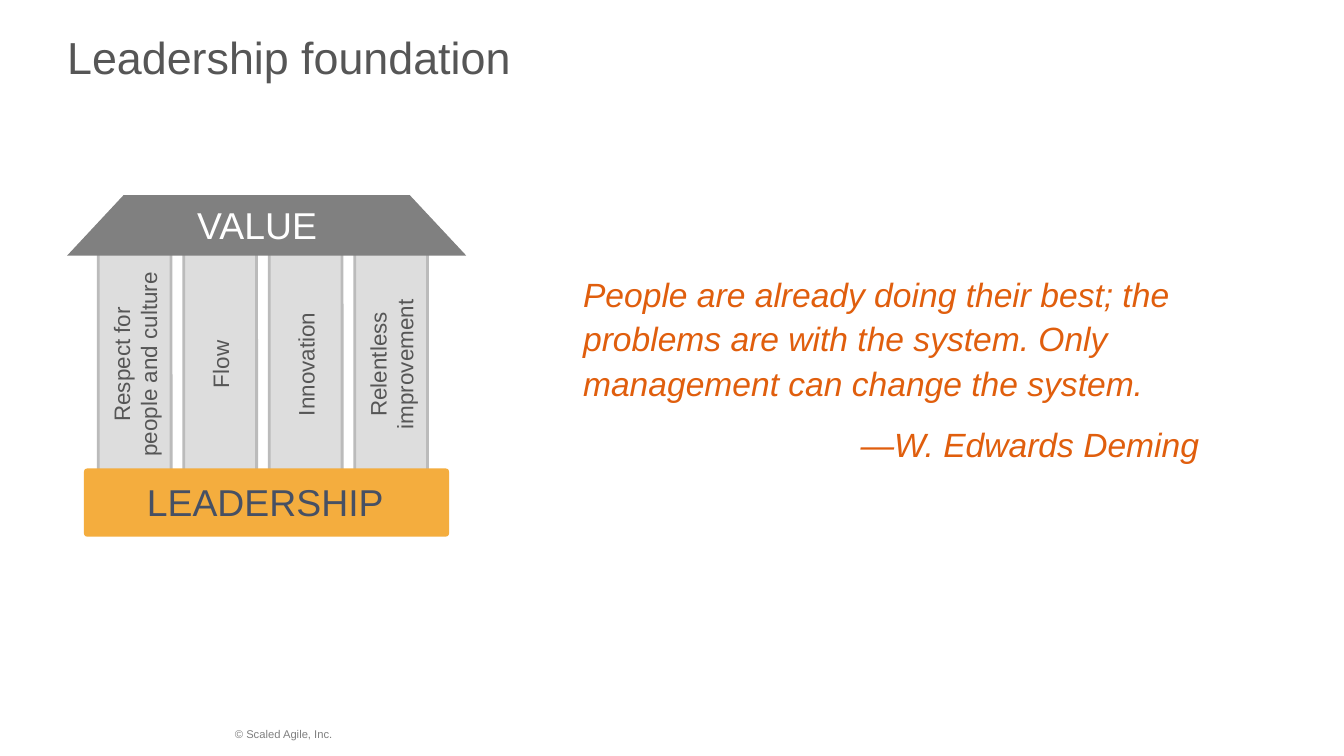
from dataclasses import dataclass

import pptx
import pptx.dml.color
import pptx.enum.shapes
import pptx.enum.text
import pptx.util

Pt = pptx.util.Pt
Align = pptx.enum.text.PP_ALIGN
Kind = pptx.enum.shapes.MSO_SHAPE


@dataclass
class Box:
    left: float
    top: float
    width: float
    height: float


@dataclass
class Style:
    size: float
    color: str
    align: Align = Align.LEFT
    italic: bool = False


@dataclass
class Pillar:
    lines: list[str]
    length: float


def tint(color: str) -> pptx.dml.color.RGBColor:
    return pptx.dml.color.RGBColor.from_string(color)


def add_block(slide, kind: Kind, box: Box, fill: str, adjust: float, edge: str = ""):
    shape = slide.shapes.add_shape(
        kind, Pt(box.left), Pt(box.top), Pt(box.width), Pt(box.height))
    shape.shadow.inherit = False
    shape.adjustments[0] = adjust
    shape.fill.solid()
    shape.fill.fore_color.rgb = tint(fill)
    if edge:
        shape.line.color.rgb = tint(edge)
        shape.line.width = Pt(1.5)
    else:
        shape.line.fill.background()


def add_text(slide, box: Box, lines: list[str], style: Style,
             wrap: bool = True, turn: float = 0):
    shape = slide.shapes.add_textbox(
        Pt(box.left), Pt(box.top), Pt(box.width), Pt(box.height))
    shape.rotation = turn
    frame = shape.text_frame
    frame.word_wrap = wrap
    frame.text = "\n".join(lines)
    for para in frame.paragraphs:
        para.alignment = style.align
        para.font.name = "Arial"
        para.font.size = Pt(style.size)
        para.font.italic = style.italic
        para.font.color.rgb = tint(style.color)
    return frame


deck = pptx.Presentation()
deck.slide_width, deck.slide_height = Pt(720), Pt(405)
slide = deck.slides.add_slide(deck.slide_layouts[6])

# Footer and title
add_text(slide, Box(118.8, 385.9, 149, 14.4), ["© Scaled Agile, Inc."],
         Style(6, "808080"))
title = add_text(slide, Box(36, 13.7, 656, 23.8), ["Leadership foundation"],
                 Style(24, "565656"))
title.margin_left = title.margin_right = title.margin_bottom = 0
title.margin_top = Pt(2)

# Quote
quote = add_text(
    slide, Box(305.3, 141.1, 344.2, 112.3),
    ["People are already doing their best; the problems are with the system. "
     "Only management can change the system.",
     "—W. Edwards Deming"],
    Style(18, "E05E0D", italic=True))
for para in quote.paragraphs:
    para.line_spacing = 1.1
quote.paragraphs[0].space_after = Pt(9)
quote.paragraphs[1].alignment = Align.RIGHT

# Pillars with upright labels
PILLARS = [
    Pillar(["Respect for", "people and culture"], 113.8),
    Pillar(["Flow"], 40.3),
    Pillar(["Innovation"], 70.6),
    Pillar(["Relentless", "improvement"], 84.2),
]
LEFT, TOP, WIDE, TALL, STEP = 52.7, 132.5, 39, 123, 45.8
MID = 195.2
for i, pillar in enumerate(PILLARS):
    left = LEFT + i * STEP
    add_block(slide, Kind.ROUNDED_RECTANGLE, Box(left, TOP, WIDE, TALL),
              "DDDDDD", 0.046, "BBBBBB")
    deep = 7.2 + 14.4 * len(pillar.lines)
    box = Box(left + (WIDE - pillar.length) / 2, MID - deep / 2, pillar.length, deep)
    add_text(slide, box, pillar.lines, Style(12, "565656", Align.CENTER),
             wrap=False, turn=270)

# Roof
add_block(slide, Kind.TRAPEZOID, Box(36, 104.5, 213.8, 32.4), "808080", 0.934)
add_text(slide, Box(98.6, 104.5, 79.2, 31.7), ["VALUE"], Style(20, "FFFFFF"),
         wrap=False)

# Base
add_block(slide, Kind.ROUNDED_RECTANGLE, Box(45, 251, 195.6, 36.5), "F4AD3E", 0.046)
add_text(slide, Box(44.6, 253.4, 195.1, 31.7), ["LEADERSHIP"],
         Style(20, "465064", Align.CENTER))

deck.save("out.pptx")
